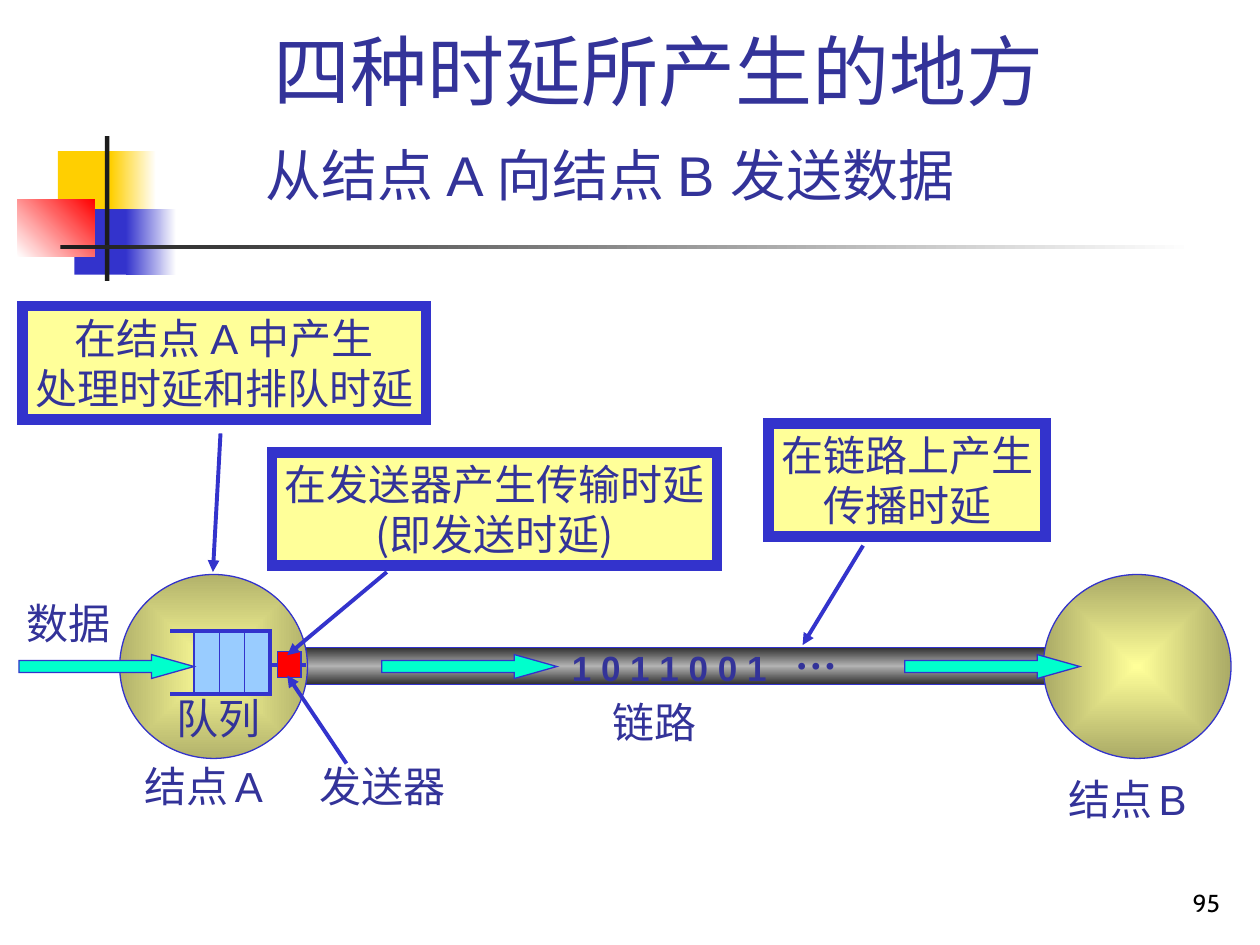
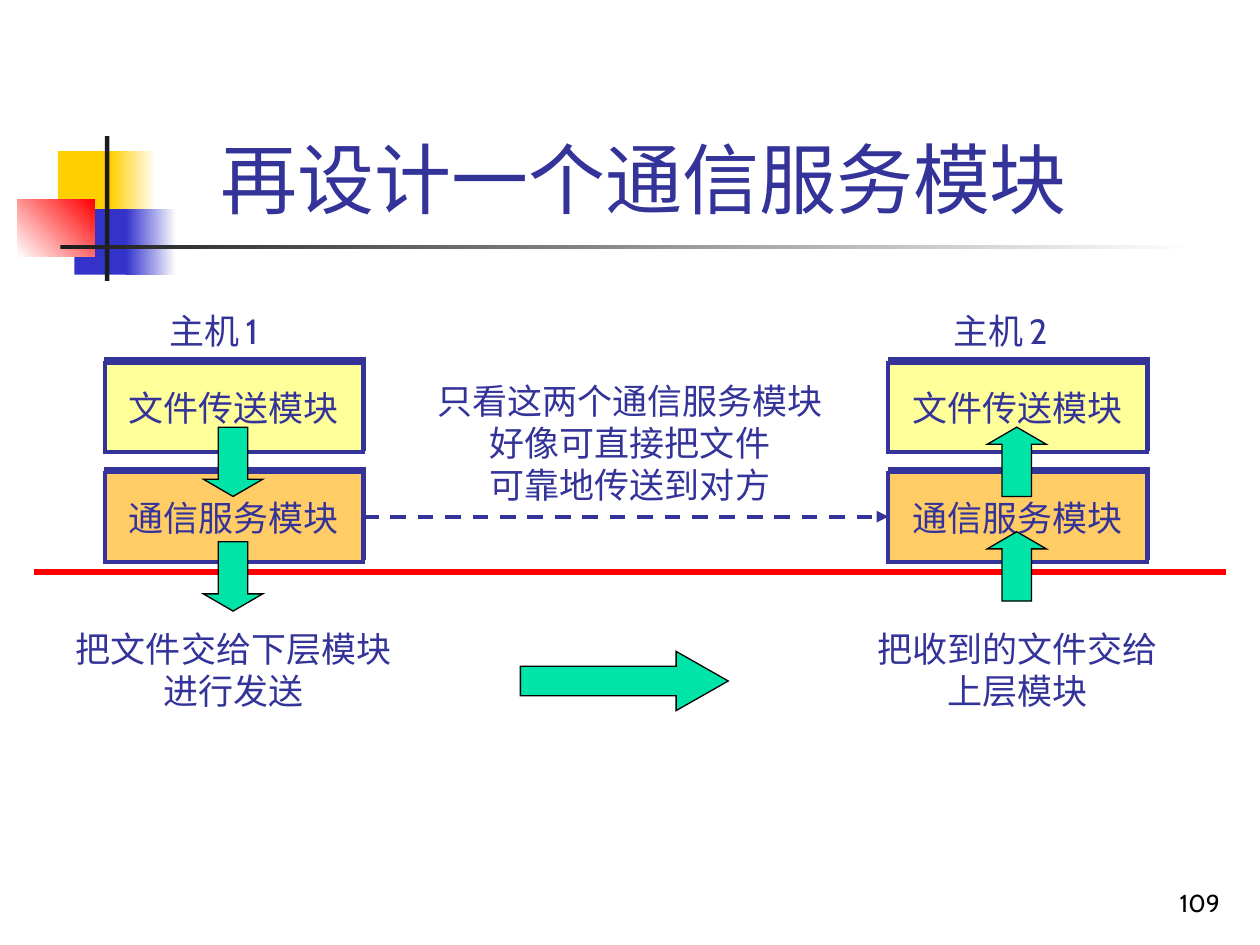
from lxml import etree
from pptx import Presentation
from pptx.dml.color import RGBColor
from pptx.enum import dml, shapes, text
from pptx.oxml import parse_xml
from pptx.oxml.ns import nsdecls, qn
from pptx import util as u

# The slide is a grid of 100 columns by 75 rows, each cell a tenth of an inch
COLS, ROWS, CELL = 100, 75, u.Inches(0.1)
PAGE = (0, 0, COLS, ROWS)

NAVY, BLUE, INK, BLACK, WHITE = "333399", "3333CC", "1C1C1C", "000000", "FFFFFF"
GOLD, RED, PALE, ORANGE = "FFCF01", "FF0000", "FFFF99", "FFCC66"
SKY, AQUA, GREEN = "99CCFF", "00FFCC", "00E4A8"
LATIN, SERIF, SANS, CJK = "Arial", "Times New Roman", "Cabin", "Noto Sans CJK SC"

KIND = shapes.MSO_SHAPE
LEFT, CENTER, RIGHT = text.PP_ALIGN.LEFT, text.PP_ALIGN.CENTER, text.PP_ALIGN.RIGHT
TOP, MIDDLE, BOTTOM = text.MSO_ANCHOR.TOP, text.MSO_ANCHOR.MIDDLE, text.MSO_ANCHOR.BOTTOM


def rgb(color):
    return RGBColor.from_string(color)


def span(*cells):
    return [round(c * CELL) for c in cells]


def inside(box, x, y, w, h):
    """Box at offset x, y from the corner of another box."""
    return box[0] + x, box[1] + y, w, h


# ---- Drawing helpers ----
def gradient(sp, colors, angle=None):
    """Even stops, along an angle or, without one, out from the centre."""
    stops = "".join(
        f'<a:gs pos="{round(100000 * i / (len(colors) - 1))}"><a:srgbClr val="{c}"/></a:gs>'
        for i, c in enumerate(colors))
    if angle is None:
        way = ('<a:path path="rect"><a:fillToRect l="50000" t="50000" '
               'r="50000" b="50000"/></a:path>')
    else:
        way = f'<a:lin ang="{angle * 60000}" scaled="0"/>'
    sp.fill.solid()
    solid = sp._element.spPr.find(qn("a:solidFill"))
    solid.getparent().replace(solid, parse_xml(
        f'<a:gradFill {nsdecls("a")} rotWithShape="1"><a:gsLst>{stops}</a:gsLst>{way}</a:gradFill>'))


def outline(sp, color, width):
    if color:
        sp.line.color.rgb = rgb(color)
        sp.line.width = u.Pt(width)
        etree.SubElement(sp.line._get_or_add_ln(), qn("a:miter"), lim="800000")
    else:
        sp.line.fill.background()


def shape(s, kind, box, fill, line=None, width=0.75, angle=None, adj=()):
    sp = s.shapes.add_shape(kind, *span(*box))
    sp.shadow.inherit = False
    if isinstance(fill, str):
        sp.fill.solid()
        sp.fill.fore_color.rgb = rgb(fill)
    else:
        gradient(sp, fill, angle)
    outline(sp, line, width)
    for i, value in enumerate(adj):
        sp.adjustments[i] = value
    return sp


def connect(s, start, end, color=BLUE, width=2.25, arrow=False, dash=False):
    c = s.shapes.add_connector(shapes.MSO_CONNECTOR.STRAIGHT, *span(*start, *end))
    outline(c, color, width)
    if dash:
        c.line.dash_style = dml.MSO_LINE.DASH
    if arrow:
        etree.SubElement(c.line._get_or_add_ln(), qn("a:tailEnd"), type="triangle")
    etree.SubElement(c._element.spPr, qn("a:effectLst"))


def write(sp, lines, size, font, align=LEFT, anchor=TOP, color=NAVY, bold=False, wrap=False):
    """Each line is a string or a list of (text, font, size) runs."""
    tf = sp.text_frame
    tf.word_wrap = wrap
    tf.vertical_anchor = anchor
    for i, line in enumerate(lines):
        p = tf.add_paragraph() if i else tf.paragraphs[0]
        p.alignment = align
        p.font.size, p.font.name, p.font.bold = u.Pt(size), font, bold
        p.font.color.rgb = rgb(color)
        for props in p._p.iter(qn("a:defRPr")):
            etree.SubElement(props, qn("a:ea"), typeface=CJK)
        if isinstance(line, str):
            p.add_run().text = line
            continue
        for words, run_font, run_size in line:
            r = p.add_run()
            r.text = words
            r.font.name, r.font.size = run_font, u.Pt(run_size)


def label(s, box, lines, size=24, font=SERIF, wrap=False, **style):
    sp = s.shapes.add_textbox(*span(*box))
    write(sp, lines, size, font, wrap=wrap, **style)
    if not wrap:
        sp.text_frame.auto_size = text.MSO_AUTO_SIZE.SHAPE_TO_FIT_TEXT


# ---- Parts both slides share ----
def frame(s, title, title_box, number):
    # Coloured squares and cross lines
    for box, fill, angle in [
        ((4.6, 12, 4.8, 5.2), GOLD, None),
        ((8.8, 12, 3.6, 5.2), (GOLD, WHITE), 0),
        ((5.9, 16.6, 4.6, 5.2), BLUE, None),
        ((10, 16.6, 4, 5.2), (BLUE, WHITE), 0),
        ((1.4, 15.8, 6.1, 4.6), (WHITE, RED), 315),
        ((8.33, 10.8, 0.35, 11.5), INK, None),
        ((4.8, 19.45, 90, 0.35), (INK, WHITE), 0),
    ]:
        shape(s, KIND.RECTANGLE, box, fill, angle=angle)
    # Title and page number
    label(s, title_box, [title + " "], 44, LATIN, align=CENTER, anchor=BOTTOM, wrap=True)
    label(s, (77, 68.3, 20.8, 5), [number], 14, SANS, align=RIGHT, anchor=BOTTOM,
          color=BLACK, wrap=True)


# ---- Slide with the places of delay ----
def node(s, box, rim, name, name_offset):
    shape(s, KIND.OVAL, box, (PALE, rim), BLUE)
    label(s, inside(box, *name_offset, 12.5, 5),
          [[("结点", SERIF, 24), (" ", LATIN, 16), (name, LATIN, 24)]])


def short_label(s, box, x, y, words):
    """Two characters, in a box with room to spare so that they stay on one line."""
    label(s, inside(box, x, y, 9, 5), [words])


def queue(s, box):
    x, y, w, h = box
    slot = 2
    first = x + w - 3 * slot
    shape(s, KIND.RECTANGLE, (first, y, 3 * slot, h), SKY, BLUE)
    # Open-ended tray
    corners = [span(*c) for c in [(x, y), (x + w, y), (x + w, y + h), (x, y + h)]]
    builder = s.shapes.build_freeform(*corners[0])
    builder.add_line_segments(corners[1:], close=False)
    tray = builder.convert_to_shape()
    tray.shadow.inherit = False
    tray.fill.background()
    outline(tray, BLUE, 2.25)
    for i in range(3):
        slot_x = first + i * slot
        connect(s, (slot_x, y), (slot_x, y + h), width=0.75)
    short_label(s, box, -0.5, 4.4, "队列")


def sender(s, box):
    x, y, w, h = box
    mid = y + h / 2
    connect(s, (x - 0.7, mid), (x + w + 0.4, mid))
    shape(s, KIND.RECTANGLE, box, RED, BLUE)
    label(s, inside(box, 2.4, 8.2, 12.3, 5), ["发送器"])
    connect(s, (x + 5.5, y + 8.9), (x + 0.8, y + 1.9), arrow=True)


def link(s, box):
    dark = "313131"
    shape(s, KIND.RECTANGLE, box, (dark, "B2B2B2", dark), BLUE, angle=90)
    short_label(s, box, 24.2, 3.4, "链路")


def signals(s, box):
    """Data arrows and bits that run along the link."""
    for x in (-21.9, 6.9, 48.4):
        shape(s, KIND.RIGHT_ARROW, inside(box, x, 0.55, 13.9, 1.9), AQUA, BLUE, adj=(0.5, 1.78))
    label(s, inside(box, 21, -0.6, 17.5, 4.4), ["1 0 1 1 0 0 1"], 20, LATIN, bold=True)
    label(s, inside(box, 38.7, -2.1, 5.3, 5), ["…"], bold=True)
    short_label(s, box, -22.3, -4.5, "数据")


def callout(s, box, lines, start, end):
    sp = shape(s, KIND.RECTANGLE, box, PALE, BLUE, 6)
    write(sp, lines, 24, CJK, align=CENTER)
    connect(s, start, end, arrow=True)


def delay_slide(s):
    frame(s, "四种时延所产生的地方", (13.8, 1.3, 78.4, 8.4), "95")
    label(s, (20.1, 10.7, 63.6, 6.4), ["从结点 A 向结点 B 发送数据"], 32, LATIN)
    # Link between the two nodes
    link_box = (23.4, 51.4, 60.4, 2.9)
    link(s, link_box)
    node(s, (9.5, 45.6, 14.9, 14.6), "B2B26B", "A", (1, 14.3))
    node(s, (82.8, 45.6, 14.9, 14.6), "AAAA66", "B", (1, 15.3))
    queue(s, (13.5, 50.1, 7.9, 5))
    sender(s, (22, 51.7, 1.9, 2.1))
    signals(s, link_box)
    # Where each delay arises
    callout(s, (61, 33.6, 22, 9), ["在链路上产生", "传播时延"], (68.5, 43.3), (63.7, 51.2))
    callout(s, (21.6, 35.9, 35.3, 9), ["在发送器产生传输时延", "(即发送时延)"],
            (30.7, 45.4), (22.8, 52))
    callout(s, (1.8, 24.3, 32, 9),
            [[("在结点 ", CJK, 24), ("A ", LATIN, 24), ("中产生", CJK, 24)], "处理时延和排队时延"],
            (17.5, 34.4), (16.9, 45.4))


# ---- Slide with the service module ----
def module(s, box, name, fill):
    sp = shape(s, KIND.RECTANGLE, box, fill, NAVY, 2.25)
    effects = sp._element.spPr.find(qn("a:effectLst"))
    shadow = etree.SubElement(effects, qn("a:outerShdw"), blurRad="0", dist=str(u.Pt(2.2)),
                              dir=str(296 * 60000), algn="ctr", rotWithShape="0")
    etree.SubElement(shadow, qn("a:srgbClr"), val=NAVY)
    write(sp, [name], 20, SANS, align=CENTER, anchor=MIDDLE)


def host(s, box, number, arrow, lower_arrow_y, note):
    w, h, note_width = box[2], 7.1, 28
    label(s, inside(box, 4.2, -4.7, 10.6, 4.4),
          [[("主机", SANS, 20), (" ", SANS, 14), (number, SANS, 20)]], 20, SANS)
    for i, (name, fill) in enumerate([("文件传送模块", PALE), ("通信服务模块", ORANGE)]):
        module(s, inside(box, 0, i * (box[3] - h), w, h), name, fill)
    for y in (5.1, lower_arrow_y):
        shape(s, arrow, inside(box, 7.85, y, 4.7, 5.5), GREEN, BLACK, adj=(0.5, 0.29))
    label(s, inside(box, w / 2 - note_width / 2, 20.5, note_width, 7.7), note, 20, SANS,
          align=CENTER)


def service_slide(s):
    frame(s, "再设计一个通信服务模块", (12.6, 2.3, 78.4, 16), "109")
    # Boundary to the layers below
    connect(s, (2.7, 45.4), (97.3, 45.4), RED, 3)
    # Two hosts and the direct path they seem to have
    left, right = (8.3, 28.8, 20.5, 15.8), (70.5, 28.8, 20.5, 15.8)
    host(s, left, "1", KIND.DOWN_ARROW, 14.2, ["把文件交给下层模块", "进行发送"])
    host(s, right, "2", KIND.UP_ARROW, 13.4, ["把收到的文件交给", "上层模块"])
    connect(s, (left[0] + left[2], 41), (right[0], 41), NAVY, arrow=True, dash=True)
    label(s, (33.7, 29.6, 32.6, 11),
          ["只看这两个通信服务模块", "好像可直接把文件", "可靠地传送到对方"], 20, SANS, align=CENTER)
    shape(s, KIND.RIGHT_ARROW, (41.3, 51.7, 16.5, 4.7), GREEN, BLACK, adj=(0.5, 0.88))


def main():
    prs = Presentation()
    prs.slide_width, prs.slide_height = span(*PAGE[2:])
    blank = prs.slide_layouts[6]
    for fill_slide in (delay_slide, service_slide):
        fill_slide(prs.slides.add_slide(blank))
    prs.save("out.pptx")


if __name__ == "__main__":
    main()
